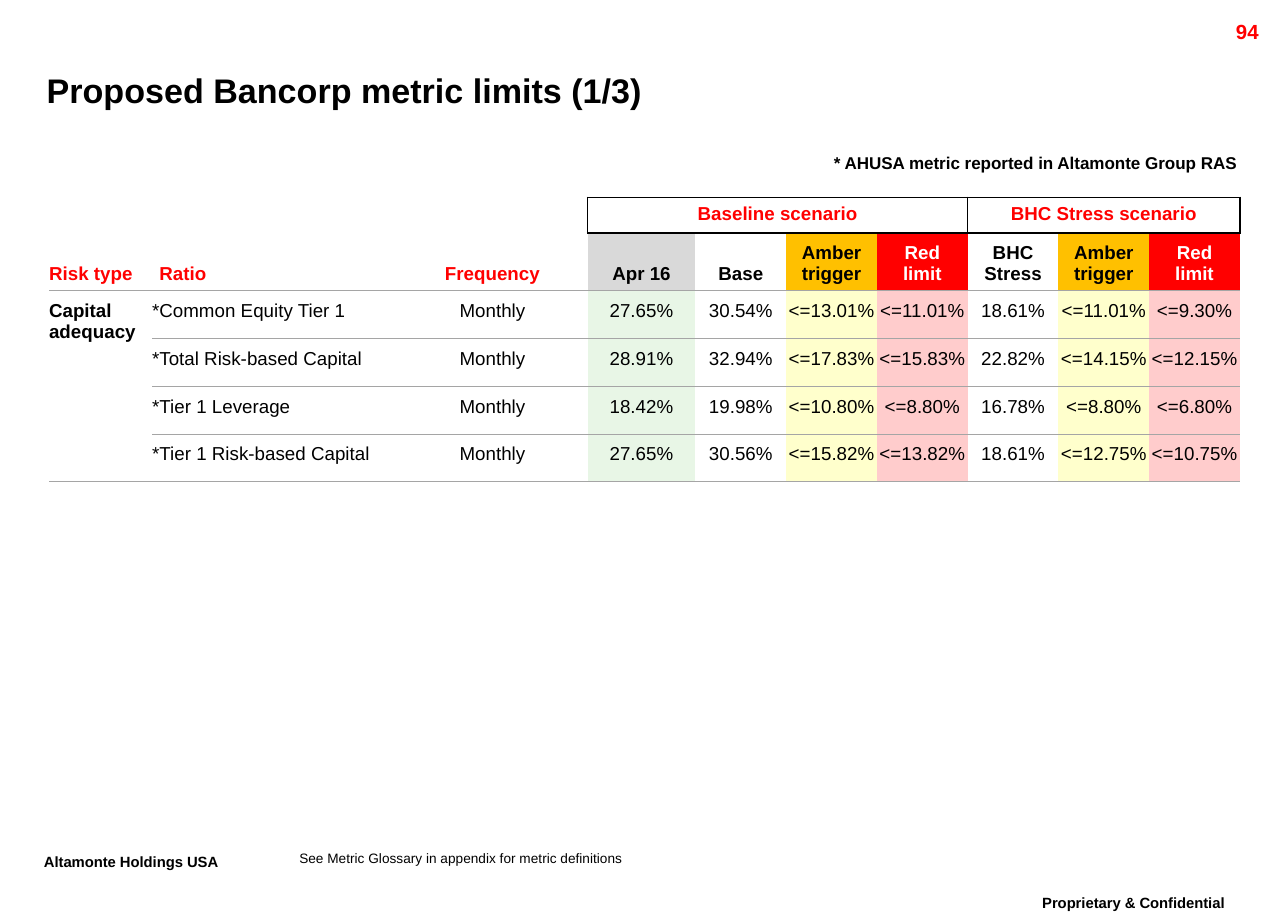
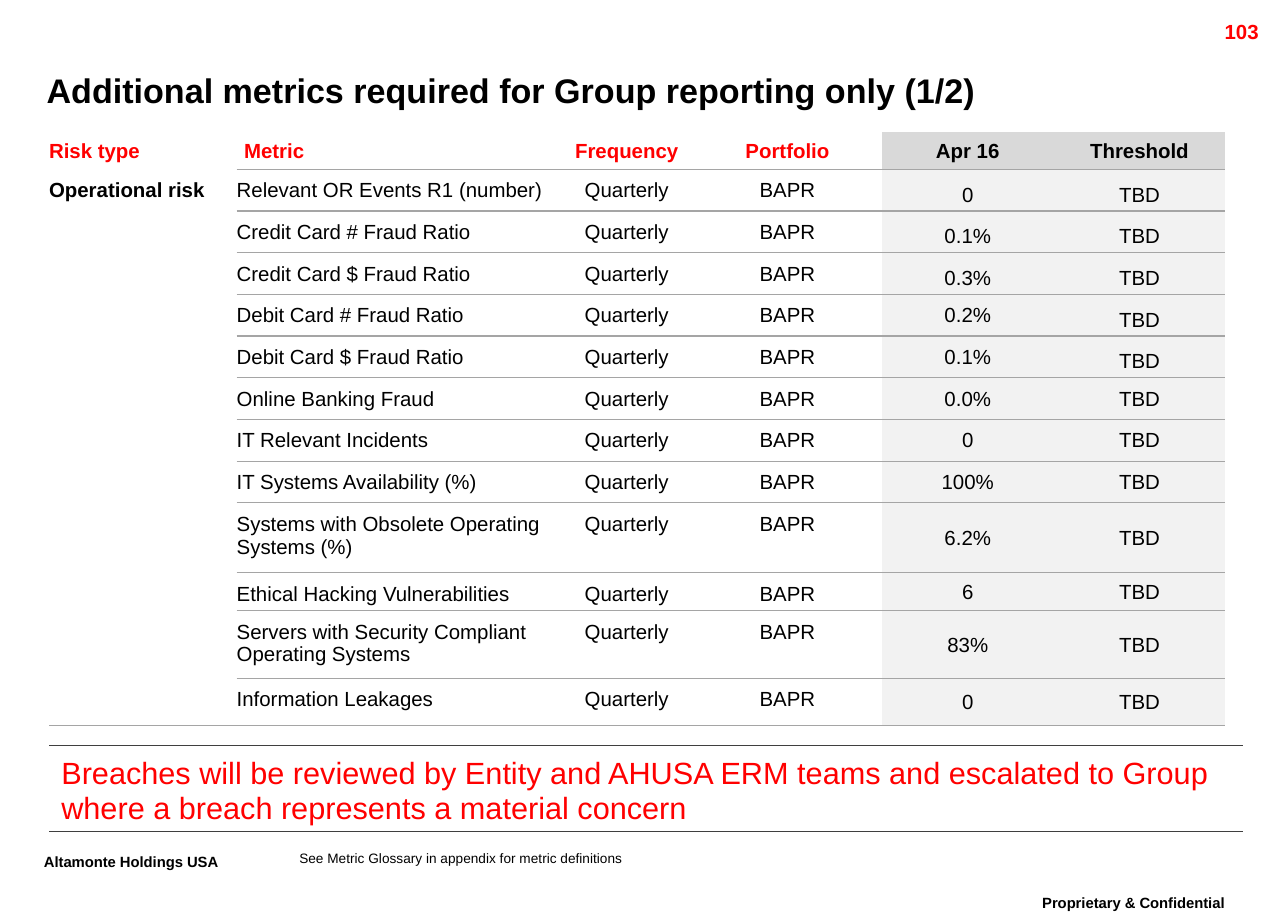
from dataclasses import dataclass

from lxml import etree
from pptx import Presentation
from pptx.dml.color import RGBColor
from pptx.enum.text import MSO_ANCHOR, PP_ALIGN
from pptx.oxml.ns import qn
from pptx.slide import Slide
from pptx.table import Table, _Cell
from pptx.text.text import TextFrame
from pptx.util import Inches, Pt

LEFT, MID, RIGHT = PP_ALIGN.LEFT, PP_ALIGN.CENTER, PP_ALIGN.RIGHT
TOP, CENTER, BOTTOM = MSO_ANCHOR.TOP, MSO_ANCHOR.MIDDLE, MSO_ANCHOR.BOTTOM

FONT = "Arial"
BLACK, WHITE, RED = "000000", "FFFFFF", "FF0000"
GREY, PALE, RULE, DARK = "D9D9D9", "F2F2F2", "A5A5A5", "3F3F3F"
AMBER, CREAM, PINK, MINT = "FFC000", "FFFFCC", "FFCCCC", "E8F6E6"
PLAIN = "{2D5ABB26-0587-4C30-8999-92F81FD0307C}"
PAD = (0.1, 0.05, 0.1, 0.05)
HEAD = (0.06, 0.05, 0.06, 0.05)
EDGE = (0, 0.05, 0.05, 0.05)
BODY = (0, 0.08, 0, 0)
TIGHT = (0.01, 0.01, 0.01, 0)
FLAT = (0, 0, 0, 0)


@dataclass
class Column:
    head: str
    width: float
    ink: str = RED
    top: str = ""
    fill: str = ""
    align: PP_ALIGN = MID
    anchor: MSO_ANCHOR = TOP
    loose: int = 99


@dataclass
class Label:
    text: str
    box: tuple
    size: float
    ink: str = BLACK
    bold: bool = True
    align: PP_ALIGN = LEFT
    anchor: MSO_ANCHOR = TOP
    pad: tuple = PAD
    wrap: bool = True
    space: float = 1
    rise: int = 0


def color(code: str) -> RGBColor:
    return RGBColor.from_string(code)


def write(frame: TextFrame, text: str, *, size: float, ink: str = BLACK,
          bold: bool = False, align: PP_ALIGN = LEFT, space: float = 1,
          rise: int = 0) -> None:
    para = frame.paragraphs[0]
    para.alignment = align
    para.line_spacing = space
    if not text:
        para._p.get_or_add_endParaRPr().set("sz", str(int(size * 100)))
        return
    run = para.add_run()
    run.text = text
    font = run.font
    font.name, font.size, font.bold = FONT, Pt(size), bold
    font.color.rgb = color(ink)
    if rise:
        run._r.get_or_add_rPr().set("baseline", str(rise * 1000))


def label(slide: Slide, item: Label) -> None:
    frame = slide.shapes.add_textbox(*map(Inches, item.box)).text_frame
    frame.word_wrap = item.wrap
    frame.vertical_anchor = item.anchor
    (frame.margin_left, frame.margin_top,
     frame.margin_right, frame.margin_bottom) = map(Inches, item.pad)
    write(frame, item.text, size=item.size, ink=item.ink, bold=item.bold,
          align=item.align, space=item.space, rise=item.rise)


def fill(cell: _Cell, text: str, *, tint: str = "", pad: tuple = BODY,
         anchor: MSO_ANCHOR = TOP, **style) -> None:
    (cell.margin_left, cell.margin_top,
     cell.margin_right, cell.margin_bottom) = map(Inches, pad)
    cell.vertical_anchor = anchor
    if tint:
        cell.fill.solid()
        cell.fill.fore_color.rgb = color(tint)
    else:
        cell.fill.background()
    write(cell.text_frame, text, **style)


def border(cell: _Cell, **sides: tuple) -> None:
    props = cell._tc.get_or_add_tcPr()
    drawn = [side for side in "LRTB" if side in sides]
    for spot, side in enumerate(drawn):
        code, width = sides[side]
        line = etree.Element(qn(f"a:ln{side}"), w=str(Pt(width)))
        paint = etree.SubElement(line, qn("a:solidFill"))
        etree.SubElement(paint, qn("a:srgbClr"), val=code)
        props.insert(spot, line)


def grid(slide: Slide, left: float, top: float, cols: list, rows: list) -> Table:
    shape = slide.shapes.add_table(
        len(rows), len(cols), Inches(left), Inches(top),
        Inches(sum(cols)), Inches(sum(rows)))
    table = shape.table
    table.first_row = table.horz_banding = False
    table._tbl.tblPr.find(qn("a:tableStyleId")).text = PLAIN
    for col, width in zip(table.columns, cols):
        col.width = Inches(width)
    for row, height in zip(table.rows, rows):
        row.height = Inches(height)
    return table


def metrics(table: Table, cols: list, data: list, *, first: int, size: float,
            anchor: MSO_ANCHOR, risk: str, span: int) -> None:
    thin = (RULE, 0.75)
    last = len(data) - 1
    for c, col in enumerate(cols):
        cell = table.cell(first, c)
        fill(cell, col.head, tint=col.top, pad=HEAD if c else EDGE,
             anchor=anchor, size=size, ink=col.ink, bold=True, align=col.align)
        sides = {"B": thin} if c or first else {}
        if first and c > 2:
            sides["T"] = (BLACK, 1)
        border(cell, **sides)
    for r, values in enumerate(data):
        for c, col in enumerate(cols):
            cell = table.cell(first + 1 + r, c)
            text = values[c - 1] if c else risk if r == 0 else ""
            fill(cell, text, tint=col.fill, pad=BODY if r < col.loose else TIGHT,
                 anchor=col.anchor, size=size, bold=c == 0, align=col.align)
            if c or r == last:
                border(cell, B=thin)
    origin = table.cell(first + 1, 0)
    if span > last:
        border(origin, B=thin)
    origin.merge(table.cell(first + span, 0))


def banner(table: Table, text: str, start: int, end: int) -> None:
    black = (BLACK, 1)
    for c in range(start, end + 1):
        cell = table.cell(0, c)
        fill(cell, text if c == start else "", tint=WHITE, pad=HEAD,
             size=11, ink=RED, bold=True, align=MID)
        sides = {"T": black, "B": black}
        if c == start:
            sides |= {"L": black, "R": black}
        elif c == end:
            sides["R"] = black
        border(cell, **sides)
    table.cell(0, start).merge(table.cell(0, end))


def page(deck: Presentation, title: str, number: int) -> Slide:
    slide = deck.slides.add_slide(deck.slide_layouts[6])
    for item in (
        Label("Proprietary & Confidential", (8.15, 7.25, 2.18, 0.32), 15,
              align=MID, space=0.86, rise=30),
        Label("Altamonte Holdings USA", (0.26, 6.91, 1.91, 0.32), 15,
              wrap=False, space=0.86, rise=30),
        Label(str(number), (9.36, 0.11, 1, 0.24), 12, ink=RED, align=RIGHT),
        Label(title, (0.38, 0.49, 9.48, 0.48), 20, anchor=CENTER, pad=FLAT),
        Label("See Metric Glossary in appendix for metric definitions",
              (2.44, 6.93, 5.47, 0.13), 8, bold=False, pad=FLAT),
    ):
        label(slide, item)
    return slide


def limits(deck: Presentation) -> None:
    slide = page(deck, "Proposed Bancorp metric limits (1/3)", 94)
    label(slide, Label("* AHUSA metric reported in Altamonte Group RAS",
                       (6.7, 1.22, 3.53, 0.25), 10, wrap=False, space=0.86))
    pair = [Column("Amber trigger", 0.74, BLACK, AMBER, CREAM),
            Column("Red limit", 0.74, WHITE, RED, PINK)]
    cols = [
        Column("Risk type", 0.84, align=LEFT),
        Column("Ratio", 2, align=LEFT),
        Column("Frequency", 1.55),
        Column("Apr 16", 0.88, BLACK, GREY, MINT),
        Column("Base", 0.74, BLACK), *pair,
        Column("BHC Stress", 0.74, BLACK), *pair,
    ]
    data = [
        ("*Common Equity Tier 1", "Monthly", "27.65%", "30.54%", "<=13.01%",
         "<=11.01%", "18.61%", "<=11.01%", "<=9.30%"),
        ("*Total Risk-based Capital", "Monthly", "28.91%", "32.94%", "<=17.83%",
         "<=15.83%", "22.82%", "<=14.15%", "<=12.15%"),
        ("*Tier 1 Leverage", "Monthly", "18.42%", "19.98%", "<=10.80%",
         "<=8.80%", "16.78%", "<=8.80%", "<=6.80%"),
        ("*Tier 1 Risk-based Capital", "Monthly", "27.65%", "30.56%", "<=15.82%",
         "<=13.82%", "18.61%", "<=12.75%", "<=10.75%"),
    ]
    table = grid(slide, 0.4, 1.61, [col.width for col in cols],
                 [0.29, 0.47] + [0.39] * len(data))
    for c in range(3):
        fill(table.cell(0, c), "", size=11)
    banner(table, "Baseline scenario", 3, 6)
    banner(table, "BHC Stress scenario", 7, 9)
    metrics(table, cols, data, first=1, size=11, anchor=BOTTOM,
            risk="Capital adequacy", span=4)


def extras(deck: Presentation) -> None:
    slide = page(
        deck, "Additional metrics required for Group reporting only (1/2)", 103)
    note = grid(slide, 0.4, 6.08, [9.73], [0.7]).cell(0, 0)
    fill(note, "Breaches will be reviewed by Entity and AHUSA ERM teams and "
         "escalated to Group where a breach represents a material concern",
         pad=PAD, anchor=BOTTOM, size=18, ink=RED)
    border(note, T=(DARK, 0.75), B=(DARK, 0.75))
    cols = [
        Column("Risk type", 1.53, align=LEFT),
        Column("Metric", 2.64, align=LEFT),
        Column("Frequency", 1.08),
        Column("Portfolio", 1.54),
        Column("Apr 16", 1.4, BLACK, GREY, PALE, anchor=CENTER, loose=3),
        Column("Threshold", 1.4, BLACK, GREY, PALE, anchor=CENTER, loose=5),
    ]
    facts = [
        ("Relevant OR Events R1 (number)", "0"),
        ("Credit Card # Fraud Ratio", "0.1%"),
        ("Credit Card $ Fraud Ratio", "0.3%"),
        ("Debit Card # Fraud Ratio", "0.2%"),
        ("Debit Card $ Fraud Ratio", "0.1%"),
        ("Online Banking Fraud", "0.0%"),
        ("IT Relevant Incidents", "0"),
        ("IT Systems Availability (%)", "100%"),
        ("Systems with Obsolete Operating Systems (%)", "6.2%"),
        ("Ethical Hacking Vulnerabilities", "6"),
        ("Servers with Security Compliant Operating Systems", "83%"),
        ("Information Leakages", "0"),
    ]
    data = [(name, "Quarterly", "BAPR", value, "TBD") for name, value in facts]
    table = grid(slide, 0.4, 1.08, [col.width for col in cols],
                 [0.29] + [0.34] * 8 + [0.57, 0.31, 0.55, 0.39])
    metrics(table, cols, data, first=0, size=12, anchor=CENTER,
            risk="Operational risk", span=11)


def main() -> None:
    deck = Presentation()
    deck.slide_width, deck.slide_height = Inches(10.5), Inches(7.5)
    limits(deck)
    extras(deck)
    deck.save("out.pptx")


if __name__ == "__main__":
    main()
